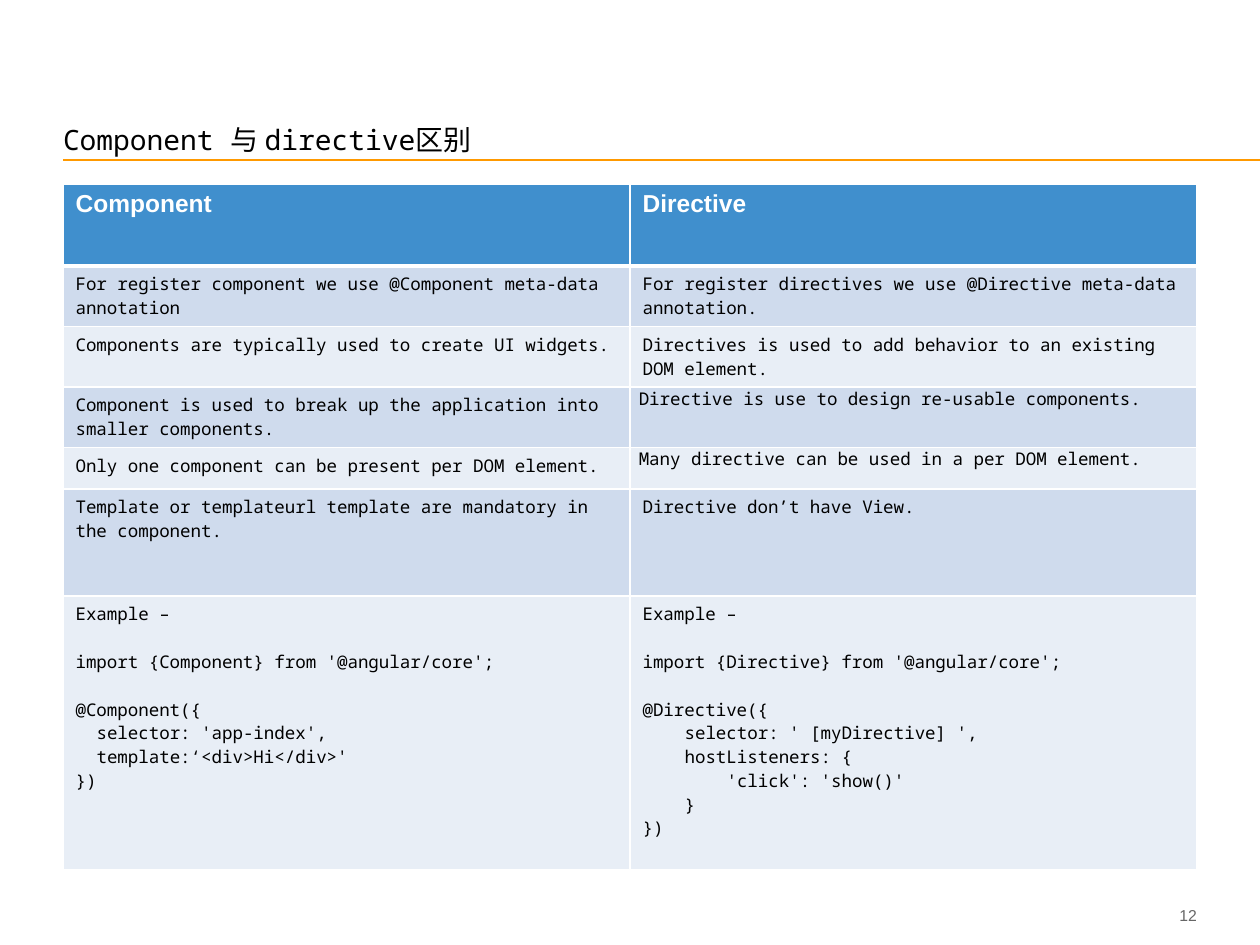
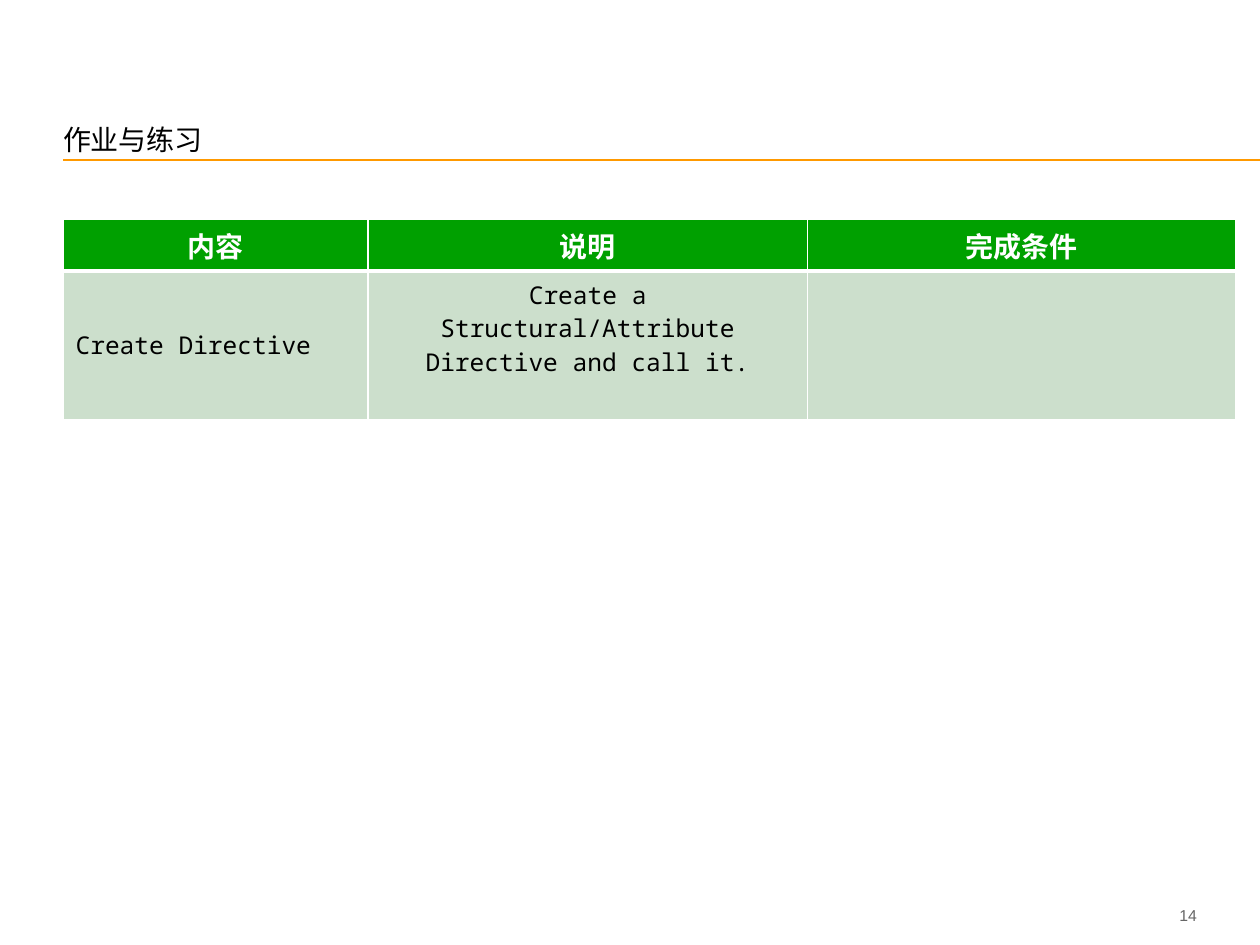
from lxml import etree
from pptx import Presentation
from pptx.dml.color import RGBColor as RGB
from pptx.enum.shapes import MSO_CONNECTOR as CONN
from pptx.enum.text import MSO_ANCHOR as ANCHOR, MSO_AUTO_SIZE as AUTO, PP_ALIGN as ALIGN
from pptx.oxml.ns import qn
from pptx.util import Inches, Pt

COLORS = {
    "black": "000000", "white": "FFFFFF", "grey": "666666", "orange": "FF9900",
    "blue": "408FCD", "blue_mid": "CFDBED", "blue_pale": "E8EEF6",
    "green": "00A000", "green_pale": "CCDFCC",
}
MONO, CJK, SANS = "Noto Sans Mono", "Noto Sans CJK SC", "Arial"
LINE_GAP = 13.6  # one line of 10 pt code, in points


def write(tf, text, font=MONO, size=10, color="black", bold=False, align=ALIGN.LEFT,
          spacing=None, indent=0, after=0, more=False):
    """Write one paragraph; more=True appends it to the text already there."""
    p = tf.add_paragraph() if more else tf.paragraphs[0]
    p.alignment, p.line_spacing = align, spacing
    p.space_before, p.space_after = Pt(0), Pt(after)
    if indent:
        p._p.get_or_add_pPr().set("marL", str(Pt(indent)))
    r = p.add_run()
    r.text = text
    r.font.name, r.font.size, r.font.bold = font, Pt(size), bold
    r.font.color.rgb = RGB.from_string(COLORS[color])
    ea = etree.SubElement(r._r.get_or_add_rPr(), qn("a:ea"))
    ea.set("typeface", CJK)


def paint(cell, fill, top=1, bottom=1):
    """White borders (points) first, then the fill, as the schema orders them."""
    tcPr = cell._tc.get_or_add_tcPr()
    for side, width in (("L", 1), ("R", 1), ("T", top), ("B", bottom)):
        ln = etree.SubElement(tcPr, qn(f"a:ln{side}"), w=str(Pt(width)))
        solid = etree.SubElement(ln, qn("a:solidFill"))
        etree.SubElement(solid, qn("a:srgbClr"), val=COLORS["white"])
    cell.fill.solid()
    cell.fill.fore_color.rgb = RGB.from_string(COLORS[fill])


prs = Presentation()
prs.slide_width, prs.slide_height = Inches(10), Inches(7.5)

# Title, rule, page number and empty table of each slide
pages = [
    ("Component 与 directive区别", MONO, "12", (0.5, 1.46),
     [4.5, 4.5], [0.65, 0.48, 0.48, 0.48, 0.33, 0.85, 2.17]),
    ("作业与练习", CJK, "14", (0.5, 1.74), [2.42, 3.49, 3.4], [0.41, 1.18]),
]
tables = []
for title, font, number, (left, top), widths, heights in pages:
    s = prs.slides.add_slide(prs.slide_layouts[5])

    rule = s.shapes.add_connector(CONN.STRAIGHT, Inches(0.5), Inches(1.27), Inches(10), Inches(1.27))
    rule.line.color.rgb = RGB.from_string(COLORS["orange"])
    rule.line.width = Pt(1)
    etree.SubElement(rule._element.spPr, qn("a:effectLst"))

    sp = s.shapes.title
    sp.left, sp.top, sp.width, sp.height = map(Inches, (0.5, 0.38, 8.97, 0.86))
    tf = sp.text_frame
    tf.margin_left = tf.margin_top = tf.margin_right = tf.margin_bottom = 0
    tf.vertical_anchor, tf.auto_size, tf.word_wrap = ANCHOR.BOTTOM, AUTO.NONE, True
    write(tf, title, font=font, size=16, spacing=1.5)

    tf = s.shapes.add_textbox(*map(Inches, (8.9, 7.19, 0.6, 0.14))).text_frame
    tf.word_wrap, tf.margin_right, tf.vertical_anchor = True, 0, ANCHOR.MIDDLE
    write(tf, number, font=SANS, size=9, color="grey", align=ALIGN.RIGHT)

    table = s.shapes.add_table(len(heights), len(widths), Inches(left), Inches(top),
                               Inches(sum(widths)), Inches(sum(heights))).table
    for col, width in zip(table.columns, widths):
        col.width = Inches(width)
    for row, height in zip(table.rows, heights):
        row.height = Inches(height)
    tables.append(table)
comparison, homework = tables

# Slide 1: comparison of components and directives
rows = [
    ("Component", "Directive"),
    ("For register component we use @Component meta-data annotation",
     "For register directives we use @Directive meta-data annotation."),
    ("Components are typically used to create UI widgets.",
     "Directives is used to add behavior to an existing DOM element."),
    ("Component is used to break up the application into smaller components.",
     "Directive is use to design re-usable components."),
    ("Only one component can be present per DOM element.",
     "Many directive can be used in a per DOM element."),
    ("Template or templateurl template are mandatory in the component.",
     "Directive don’t have View."),
]
for i, texts in enumerate(rows):
    for j, text in enumerate(texts):
        cell = comparison.cell(i, j)
        if i == 0:
            paint(cell, "blue", bottom=3)
            write(cell.text_frame, text, font=SANS, size=14, color="white", bold=True)
        else:
            paint(cell, "blue_mid" if i % 2 else "blue_pale", top=3 if i == 1 else 1)
            write(cell.text_frame, text)
for i in (3, 4):
    cell = comparison.cell(i, 1)
    cell.margin_left = cell.margin_right = Inches(0.07)
    cell.margin_top = cell.margin_bottom = 0

# Code examples: (text, indent in points, gap after)
examples = [
    [("Example –", 0, LINE_GAP),
     ("import {Component} from '@angular/core';", 0, LINE_GAP),
     ("@Component({", 0, 0),
     ("selector: 'app-index',", 12, 0),
     ("template:‘<div>Hi</div>'", 12, 0),
     ("})", 0, 0)],
    [("Example –", 0, LINE_GAP),
     ("import {Directive} from '@angular/core';", 0, LINE_GAP),
     ("@Directive({", 0, 0),
     ("selector: ' [myDirective] ',", 24, 0),
     ("hostListeners: {", 24, 0),
     ("'click': 'show()'", 48, 0),
     ("}", 24, 0),
     ("})", 0, 0)],
]
for j, lines in enumerate(examples):
    cell = comparison.cell(len(rows), j)
    paint(cell, "blue_pale")
    for k, (text, indent, after) in enumerate(lines):
        write(cell.text_frame, text, indent=indent, after=after, more=k > 0)

# Slide 2: homework
tasks = [
    ("内容", ALIGN.CENTER, "Create Directive", ALIGN.LEFT),
    ("说明", ALIGN.CENTER, "Create a Structural/Attribute Directive and call it.", ALIGN.CENTER),
    ("完成条件", ALIGN.CENTER, "", ALIGN.LEFT),
]
for j, (head, head_align, text, align) in enumerate(tasks):
    cell = homework.cell(0, j)
    cell.vertical_anchor = ANCHOR.MIDDLE
    paint(cell, "green", bottom=3)
    write(cell.text_frame, head, font=CJK, size=16, color="white", bold=True, align=head_align)
    cell = homework.cell(1, j)
    cell.vertical_anchor = ANCHOR.MIDDLE
    paint(cell, "green_pale", top=3)
    if text:
        write(cell.text_frame, text, size=14, align=align)
homework.cell(1, 1).margin_bottom = Inches(0.32)

prs.save("out.pptx")
